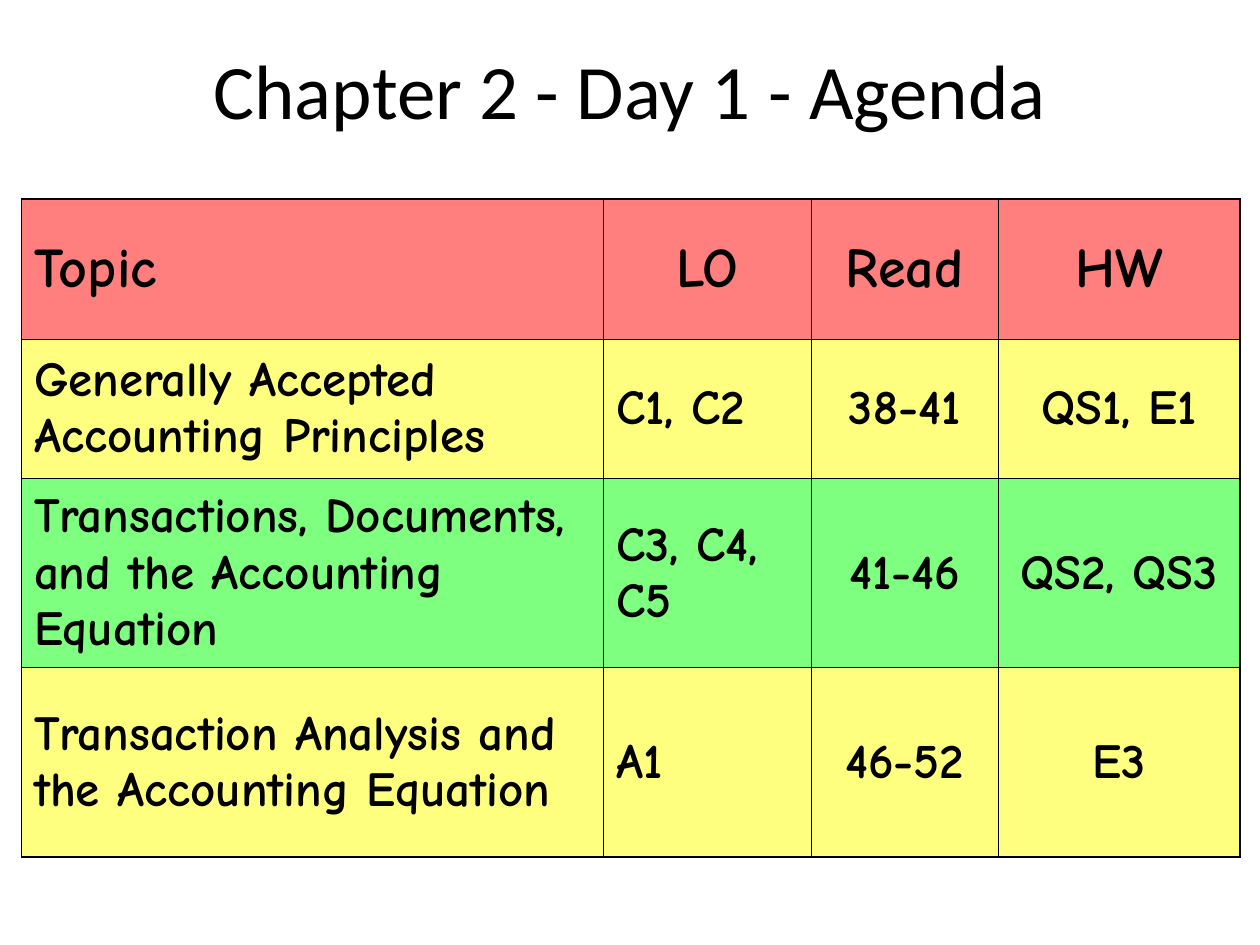
from lxml.etree import SubElement
from pptx import Presentation
from pptx.dml.color import RGBColor
from pptx.enum.text import MSO_ANCHOR, PP_ALIGN
from pptx.oxml.ns import qn
from pptx.util import Inches, Pt

COLUMN_WIDTHS = [4.62, 1.65, 1.48, 1.92]
ROW_HEIGHTS = [1.11, 1.11, 1.5, 1.5]
ROW_COLORS = ["FF0000", "FFFF00", "00FF00", "FFFF00"]
AGENDA = [
    ["Topic", "LO", "Read", "HW"],
    ["Generally Accepted Accounting Principles", "C1, C2", "38-41", "QS1, E1"],
    ["Transactions, Documents, and the Accounting Equation", "C3, C4, C5", "41-46", "QS2, QS3"],
    ["Transaction Analysis and the Accounting Equation", "A1", "46-52", "E3"],
]


def color(value):
    return RGBColor.from_string(value)


class AgendaSlide:
    title_font = "Calibri"
    table_font = "Comic Neue"
    ink = "000000"
    outer_line = 1.08
    inner_line = 0.45

    def __init__(self, presentation):
        self.slide = presentation.slides.add_slide(presentation.slide_layouts[5])

    def format_paragraph(self, paragraph, font_name, size, bold, alignment):
        paragraph.alignment = alignment
        paragraph.font.name = font_name
        paragraph.font.size = Pt(size)
        paragraph.font.bold = bold
        paragraph.font.color.rgb = color(self.ink)

    def add_title(self, text, left, top, width, height):
        title = self.slide.shapes.title
        title.left, title.top = Inches(left), Inches(top)
        title.width, title.height = Inches(width), Inches(height)
        frame = title.text_frame
        frame.text = text
        frame.word_wrap = True
        frame.vertical_anchor = MSO_ANCHOR.MIDDLE
        self.format_paragraph(frame.paragraphs[0], self.title_font, 44, False, PP_ALIGN.CENTER)

    def add_borders(self, cell, outer_sides):
        properties = cell._tc.get_or_add_tcPr()
        for side in ("L", "R", "T", "B"):
            width = self.outer_line if outer_sides[side] else self.inner_line
            line = SubElement(properties, qn(f"a:ln{side}"), w=str(Pt(width)))
            fill = SubElement(line, qn("a:solidFill"))
            SubElement(fill, qn("a:srgbClr"), val=self.ink)

    def fill_cell(self, cell, value):
        cell.fill.solid()
        cell.fill.fore_color.rgb = color(value)
        for element in cell._tc.tcPr.findall(f"{qn('a:solidFill')}/{qn('a:srgbClr')}"):
            SubElement(element, qn("a:alpha"), val="50000")

    def add_table(self, rows, left, top):
        last_row, last_column = len(rows) - 1, len(COLUMN_WIDTHS) - 1
        table = self.slide.shapes.add_table(
            len(rows), len(COLUMN_WIDTHS), Inches(left), Inches(top),
            Inches(sum(COLUMN_WIDTHS)), Inches(sum(ROW_HEIGHTS)),
        ).table
        table.first_row = table.horz_banding = False
        for column, width in zip(table.columns, COLUMN_WIDTHS):
            column.width = Inches(width)
        for row, height in zip(table.rows, ROW_HEIGHTS):
            row.height = Inches(height)
        for row_index, texts in enumerate(rows):
            is_header = row_index == 0
            for column_index, text in enumerate(texts):
                cell = table.cell(row_index, column_index)
                cell.text = text
                cell.vertical_anchor = MSO_ANCHOR.MIDDLE
                is_left = column_index == 0 or (column_index == 1 and not is_header)
                self.format_paragraph(
                    cell.text_frame.paragraphs[0], self.table_font, 32 if is_header else 28,
                    True, PP_ALIGN.LEFT if is_left else PP_ALIGN.CENTER,
                )
                self.add_borders(cell, {
                    "L": column_index == 0, "R": column_index == last_column,
                    "T": is_header, "B": row_index == last_row,
                })
                self.fill_cell(cell, ROW_COLORS[row_index])


def main():
    presentation = Presentation()
    presentation.slide_width, presentation.slide_height = Inches(10), Inches(7.5)
    agenda = AgendaSlide(presentation)
    agenda.add_title("Chapter 2 - Day 1 - Agenda", 0, 0.28, 10, 0.84)
    agenda.add_table(AGENDA, 0.17, 1.58)
    presentation.save("out.pptx")


if __name__ == "__main__":
    main()
